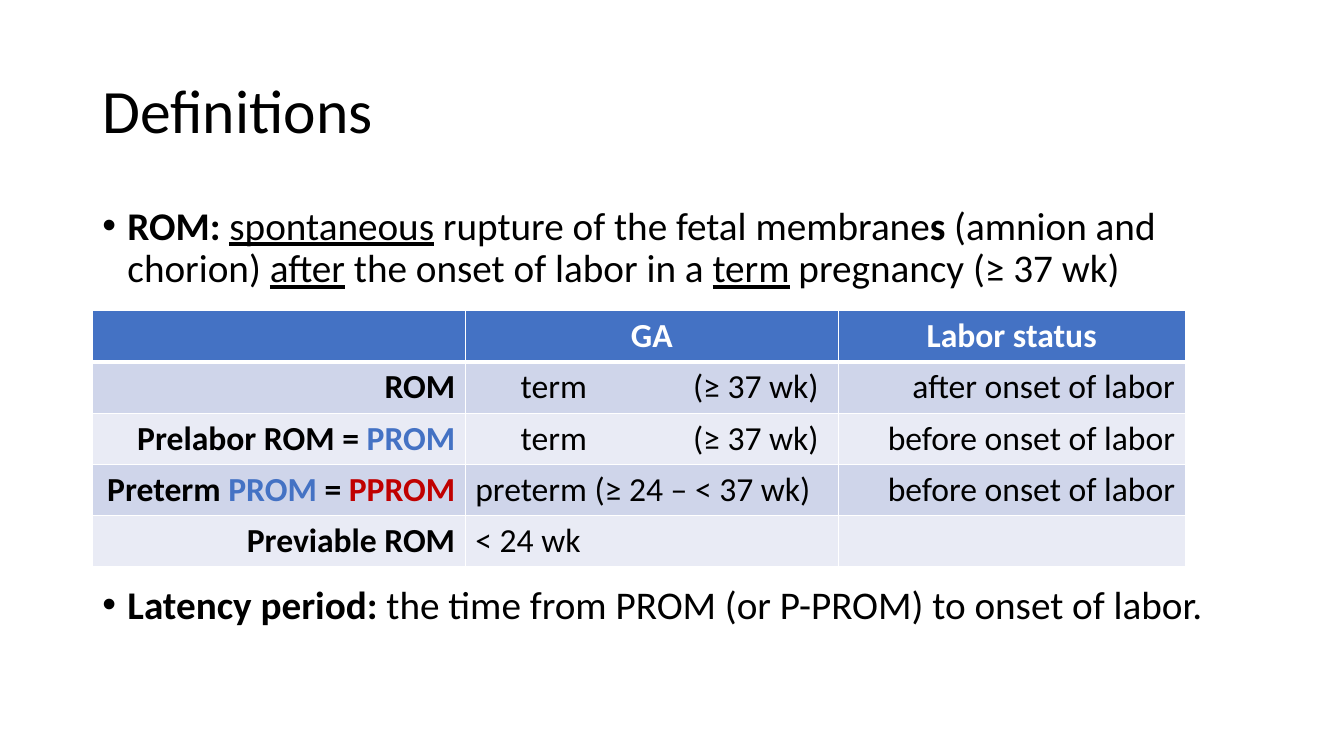
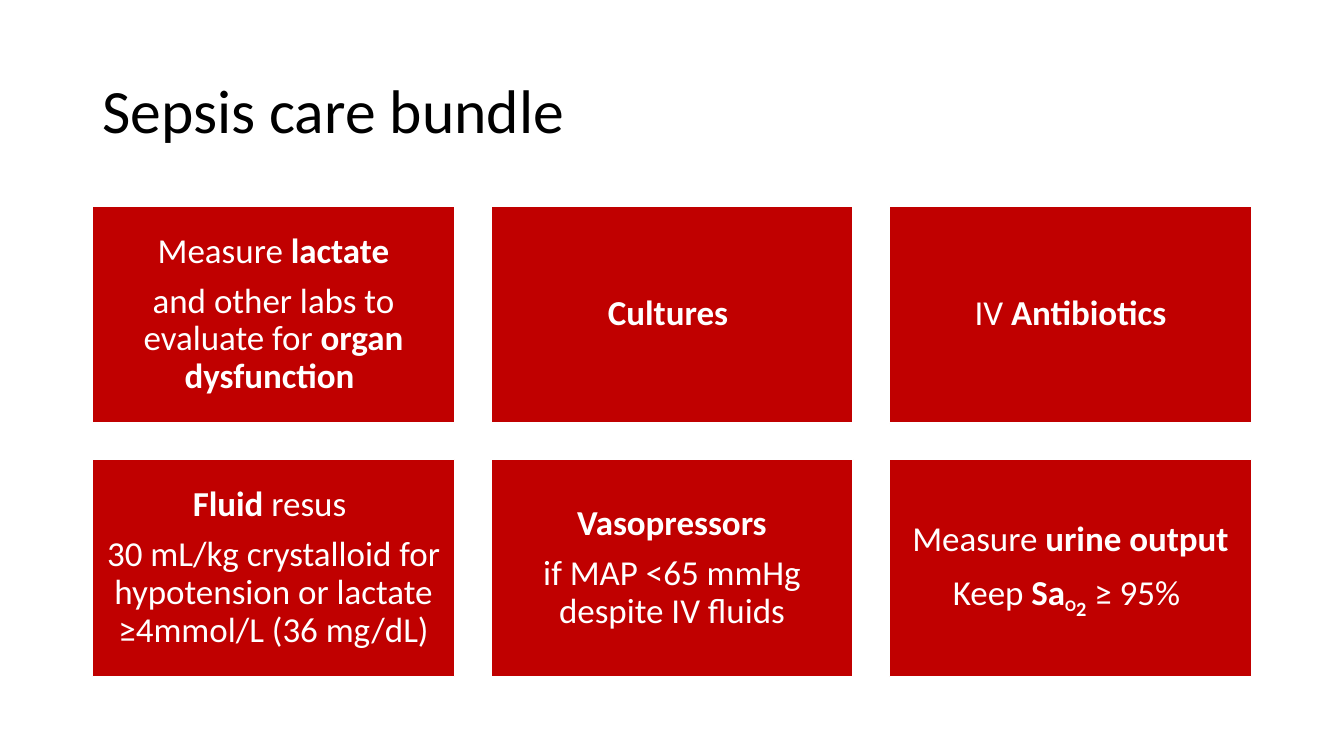
from dataclasses import dataclass
from typing import NamedTuple

from lxml import etree
from pptx import Presentation
from pptx import util as u
from pptx.dml.color import RGBColor
from pptx.enum import shapes, text
from pptx.oxml.ns import qn

COLOURS = {
    "text": "000000", "white": "FFFFFF", "blue": "4472C4", "red": "C00000",
    "band_dark": "CFD5EA", "band_light": "E9EBF5",
}
FONT = "Calibri"
GRID_COLUMNS, GRID_ROWS = 160, 90
SLIDE_WIDTH, SLIDE_HEIGHT = u.Inches(13.3333), u.Inches(7.5)
MARGIN, CONTENT_WIDTH = 11, 138
LEFT, CENTRE, RIGHT = text.PP_ALIGN.LEFT, text.PP_ALIGN.CENTER, text.PP_ALIGN.RIGHT


class Run(NamedTuple):
    text: str
    bold: bool = False
    underline: bool = False
    colour: str = ""
    baseline: int = 0
    small_caps: bool = False


@dataclass(frozen=True)
class Style:
    size: float
    colour: str = "text"
    align: text.PP_ALIGN = LEFT
    line_spacing: float = 1.0
    space_after: float = 0
    bulleted: bool = False
    tabs: tuple[float, ...] = ()


class Area(NamedTuple):
    column: float
    row: float
    columns: float
    rows: float

    def box(self) -> tuple[int, int, int, int]:
        return across(self.column), down(self.row), across(self.columns), down(self.rows)


@dataclass(frozen=True)
class Row:
    name: tuple[Run, ...]
    age: str
    labor: str
    tabs: tuple[float, ...] = ()


Paragraph = tuple[Run, ...]

TITLE_AREA = Area(MARGIN, 4.8, CONTENT_WIDTH, 17.4)
TITLE = Style(44, line_spacing=0.9)
BODY = Style(28, line_spacing=0.9, bulleted=True)
CARD = Style(25, "white", CENTRE, line_spacing=0.9, space_after=8.75)
HEADER = Style(24, "white", CENTRE)

ROM = (
    Run("ROM: ", bold=True), Run("spontaneous", underline=True),
    Run(" rupture of the fetal membrane"), Run("s", bold=True),
    Run(" (amnion and chorion) "), Run("after", underline=True),
    Run(" the onset of labor in a "), Run("term", underline=True),
    Run(" pregnancy (≥ 37 wk)"),
)
LATENCY = (
    Run("Latency period:", bold=True),
    Run(" the time from PROM (or P-PROM) to onset of labor."),
)
TABLE_COLUMNS = (44.4, 44.4, 41.3)
TABLE_ROW = 6.1
TABLE_HEADINGS = ("", "GA", "Labor status")
TERM_TABS = (0.45, 2.16)
TABLE_ROWS = (
    Row((Run("ROM", True),), "\tterm\t(≥ 37 wk)", "after onset of labor", TERM_TABS),
    Row((Run("Prelabor ROM = ", True), Run("PROM", True, colour="blue")),
        "\tterm\t(≥ 37 wk)", "before onset of labor", TERM_TABS),
    Row((Run("Preterm", True), Run(" PROM ", True, colour="blue"), Run("= ", True),
         Run("PPROM", True, colour="red")),
        "preterm (≥ 24 – < 37 wk)", "before onset of labor"),
    Row((Run("Previable ROM", True),), "< 24 wk", ""),
)
CARDS_PER_ROW = 3
CARDS: tuple[tuple[Paragraph, ...], ...] = (
    ((Run("Measure "), Run("lactate", True)),
     (Run("and other labs to evaluate for "), Run("organ dysfunction ", True))),
    ((Run("Cultures ", True),),),
    ((Run("IV "), Run("Antibiotics", True)),),
    ((Run("Fluid", True), Run(" resus ")),
     (Run("30 mL/kg crystalloid for hypotension or lactate ≥4mmol/L (36 mg/dL)"),)),
    ((Run("Vasopressors", True),), (Run("if MAP <65 mmHg despite IV fluids"),)),
    ((Run("Measure "), Run("urine output", True)),
     (Run("Keep "), Run("Sa", True), Run("o", True, baseline=-15, small_caps=True),
      Run("2", True, baseline=-30), Run(" ≥ 95% "))),
)


def across(columns: float) -> int:
    return round(SLIDE_WIDTH * columns / GRID_COLUMNS)


def down(rows: float) -> int:
    return round(SLIDE_HEIGHT * rows / GRID_ROWS)


def rgb(colour: str) -> RGBColor:
    return RGBColor.from_string(COLOURS[colour])


def add_run(paragraph, run: Run, all_bold: bool) -> None:
    piece = paragraph.add_run()
    piece.text = run.text
    if run.bold and not all_bold:
        piece.font.bold = True
    if run.underline:
        piece.font.underline = True
    if run.colour:
        piece.font.color.rgb = rgb(run.colour)
    properties = piece._r.get_or_add_rPr()
    if run.baseline:
        properties.set("baseline", str(run.baseline * 1000))
    if run.small_caps:
        properties.set("cap", "small")


def write_paragraph(paragraph, runs: Paragraph, style: Style) -> None:
    paragraph.alignment = style.align
    paragraph.line_spacing = style.line_spacing
    paragraph.space_after = u.Pt(style.space_after)
    properties = paragraph._p.get_or_add_pPr()
    if style.bulleted:
        indent = u.Inches(0.25)
        properties.set("marL", str(indent))
        properties.set("indent", str(-indent))
        etree.SubElement(properties, qn("a:buFont"), typeface="Arial")
        etree.SubElement(properties, qn("a:buChar"), char="•")
    if style.tabs:
        stops = etree.SubElement(properties, qn("a:tabLst"))
        for stop in style.tabs:
            etree.SubElement(stops, qn("a:tab"), pos=str(u.Inches(stop)), algn="l")
    all_bold = all(run.bold for run in runs)
    paragraph.font.name = FONT
    paragraph.font.size = u.Pt(style.size)
    paragraph.font.color.rgb = rgb(style.colour)
    if all_bold:
        paragraph.font.bold = True
    for run in runs:
        add_run(paragraph, run, all_bold)


def write(frame, paragraphs: tuple[Paragraph, ...], style: Style) -> None:
    frame.word_wrap = True
    for index, runs in enumerate(paragraphs):
        paragraph = frame.add_paragraph() if index else frame.paragraphs[0]
        write_paragraph(paragraph, runs, style)


def add_titled_slide(deck, title: str):
    slide = deck.slides.add_slide(deck.slide_layouts[6])
    frame = slide.shapes.add_textbox(*TITLE_AREA.box()).text_frame
    frame.vertical_anchor = text.MSO_ANCHOR.MIDDLE
    write(frame, ((Run(title),),), TITLE)
    return slide


def add_borders(cell, top: float, bottom: float) -> None:
    properties = cell._tc.get_or_add_tcPr()
    for side, width in (("L", 1), ("R", 1), ("T", top), ("B", bottom)):
        line = etree.SubElement(properties, qn(f"a:ln{side}"), w=str(u.Pt(width)))
        fill = etree.SubElement(line, qn("a:solidFill"))
        etree.SubElement(fill, qn("a:srgbClr"), val=COLOURS["white"])


def fill_cell(cell, runs: Paragraph, style: Style, fill: str, top: float, bottom: float) -> None:
    add_borders(cell, top, bottom)
    cell.fill.solid()
    cell.fill.fore_color.rgb = rgb(fill)
    if runs[0].text:
        write(cell.text_frame, (runs,), style)


def add_definitions_table(slide) -> None:
    row_count = len(TABLE_ROWS) + 1
    area = Area(MARGIN, 37, sum(TABLE_COLUMNS), TABLE_ROW * row_count)
    table = slide.shapes.add_table(row_count, len(TABLE_COLUMNS), *area.box()).table
    for column, width in zip(table.columns, TABLE_COLUMNS):
        column.width = across(width)
    for row in table.rows:
        row.height = down(TABLE_ROW)
    for column, heading in enumerate(TABLE_HEADINGS):
        fill_cell(table.cell(0, column), (Run(heading, True),), HEADER, "blue", 1, 3)
    for index, row in enumerate(TABLE_ROWS, start=1):
        fill = "band_dark" if index % 2 else "band_light"
        top = 3 if index == 1 else 1
        contents = (
            (row.name, Style(24, align=RIGHT)),
            ((Run(row.age),), Style(24, tabs=row.tabs)),
            ((Run(row.labor),), Style(24, align=RIGHT)),
        )
        for column, (runs, style) in enumerate(contents):
            fill_cell(table.cell(index, column), runs, style, fill, top, 1)


def add_card(slide, area: Area, paragraphs: tuple[Paragraph, ...]) -> None:
    card = slide.shapes.add_shape(shapes.MSO_SHAPE.RECTANGLE, *area.box())
    card.shadow.inherit = False
    card.fill.solid()
    card.fill.fore_color.rgb = rgb("red")
    card.line.color.rgb = rgb("white")
    card.line.width = u.Pt(1)
    frame = card.text_frame
    frame.vertical_anchor = text.MSO_ANCHOR.MIDDLE
    frame.margin_left = frame.margin_right = u.Inches(0.1)
    frame.margin_top = frame.margin_bottom = u.Inches(0.1)
    write(frame, paragraphs, CARD)


def build_definitions(deck) -> None:
    slide = add_titled_slide(deck, "Definitions")
    frame = slide.shapes.add_textbox(*Area(MARGIN, 24, CONTENT_WIDTH, 57.1).box()).text_frame
    write(frame, (ROM, LATENCY), BODY)
    frame.paragraphs[1].space_before = u.Pt(210)
    add_definitions_table(slide)


def build_bundle(deck) -> None:
    slide = add_titled_slide(deck, "Sepsis care bundle")
    gap_share, height_share = 0.1, 0.6
    width = CONTENT_WIDTH / (CARDS_PER_ROW + gap_share * (CARDS_PER_ROW - 1))
    height, gap = width * height_share, width * gap_share
    for index, paragraphs in enumerate(CARDS):
        row, column = divmod(index, CARDS_PER_ROW)
        area = Area(MARGIN + column * (width + gap), 24.5 + row * (height + gap), width, height)
        add_card(slide, area, paragraphs)


def main() -> None:
    deck = Presentation()
    deck.slide_width, deck.slide_height = SLIDE_WIDTH, SLIDE_HEIGHT
    build_definitions(deck)
    build_bundle(deck)
    deck.save("out.pptx")


if __name__ == "__main__":
    main()
